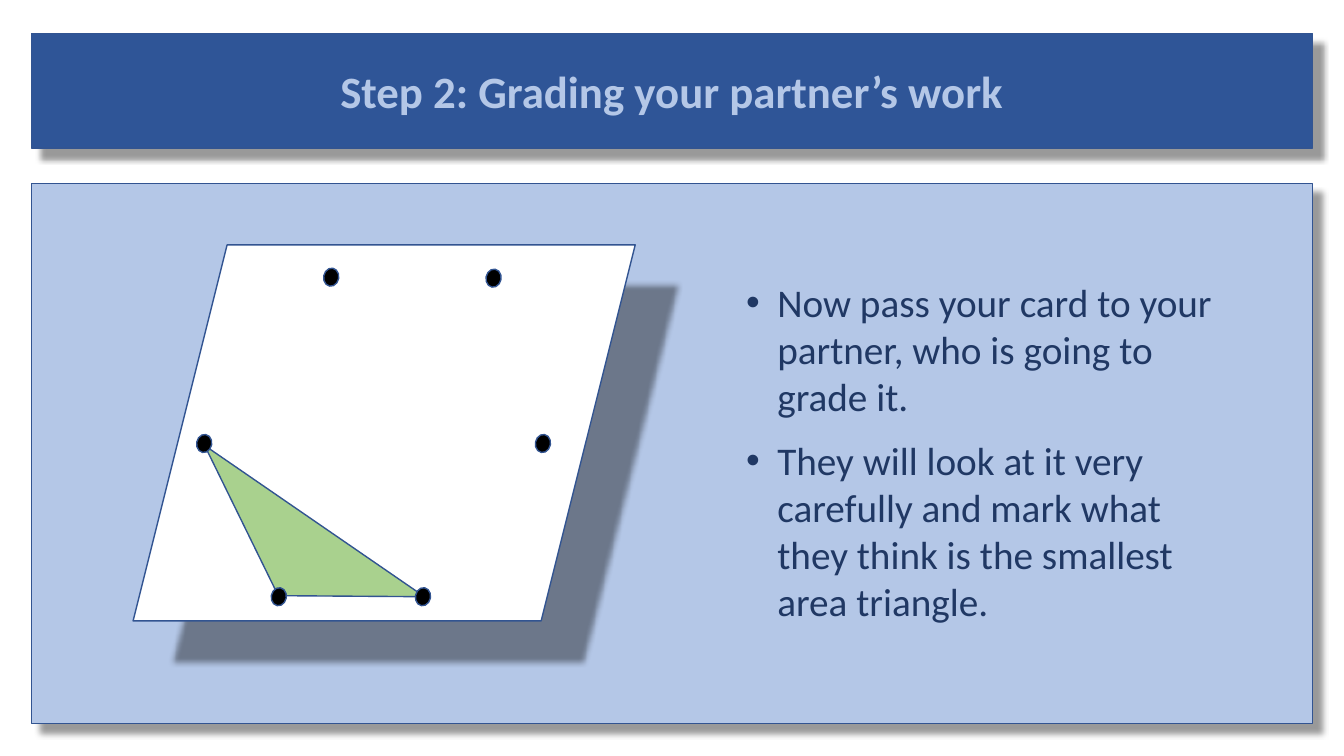
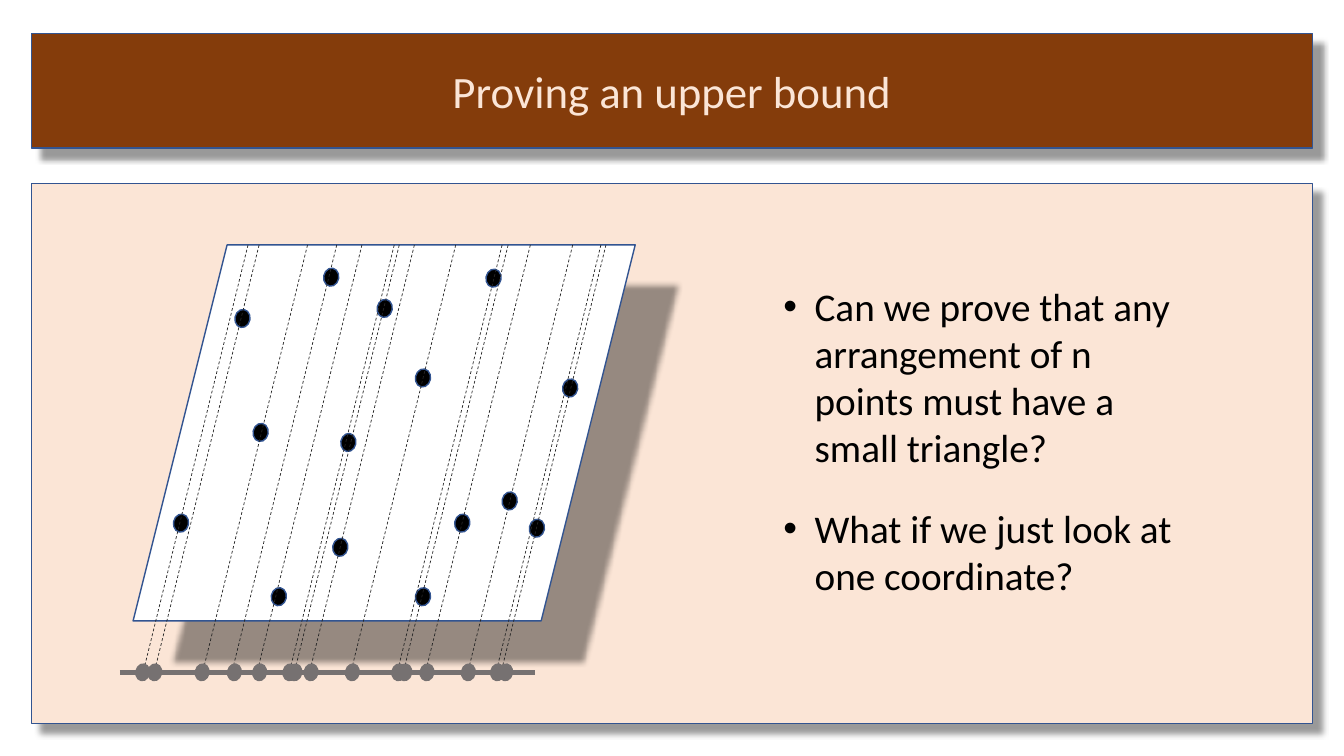
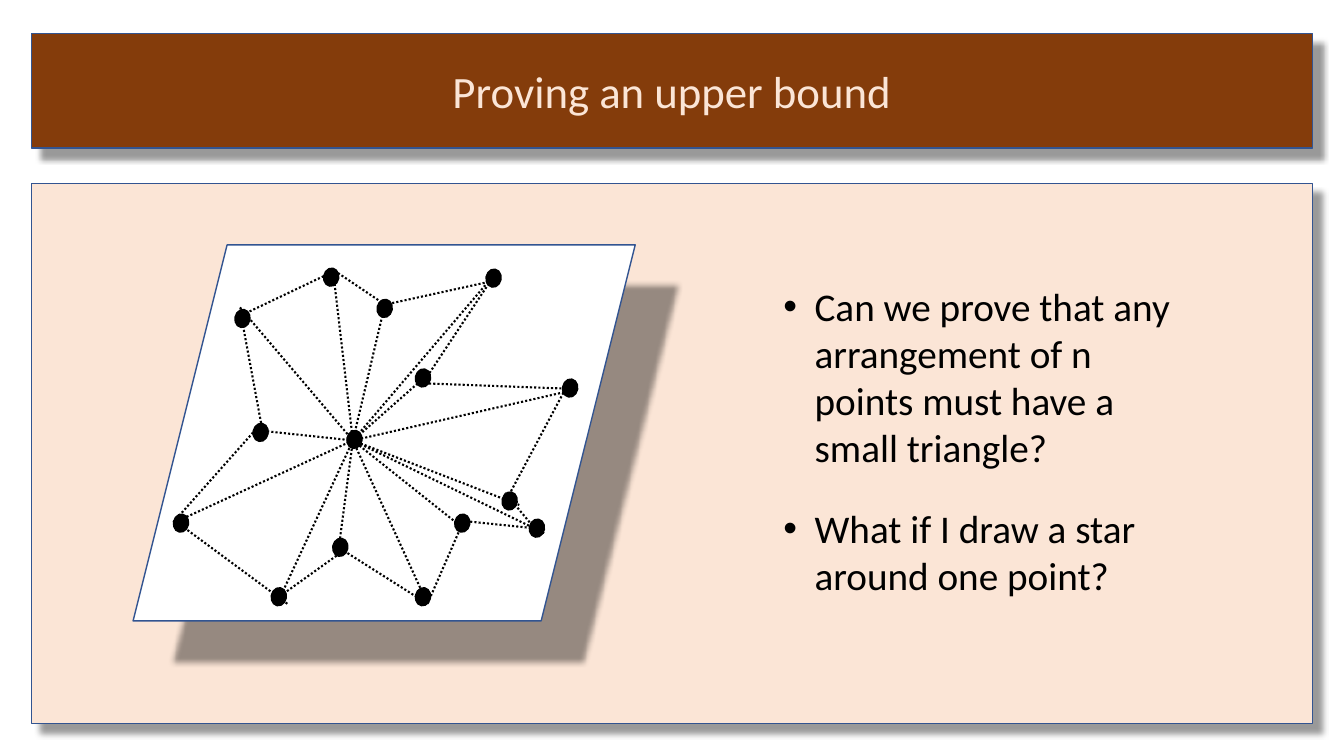
from dataclasses import dataclass
from typing import NamedTuple, Optional

from lxml import etree
from pptx import Presentation
from pptx.dml.color import RGBColor
from pptx.enum.dml import MSO_LINE
from pptx.enum.shapes import MSO_CONNECTOR, MSO_SHAPE
from pptx.enum.text import MSO_ANCHOR, MSO_AUTO_SIZE, PP_ALIGN
from pptx.oxml.ns import qn
from pptx.util import Inches, Pt

FONT = "Calibri"
COLORS = {
    "outline": "325491",
    "black": "000000",
    "white": "FFFFFF",
    "navy": "203864",
    "blue": "2F5597",
    "light_blue": "B4C7E7",
    "brown": "843C0B",
    "peach": "FBE5D6",
    "green": "A9D18E",
    "gray": "767171",
    "guide": "262626",
}


class Point(NamedTuple):
    x: float
    y: float


class Box(NamedTuple):
    left: float
    top: float
    width: float
    height: float


class Segment(NamedTuple):
    x1: float
    y1: float
    x2: float
    y2: float


class Projection(NamedTuple):
    top_x: float
    dot_left: float


@dataclass(frozen=True)
class Theme:
    band: str
    panel: str
    text: str
    bold_title: bool
    body: Box
    gap: int


@dataclass(frozen=True)
class LineStyle:
    color: str
    width: float
    dash: Optional[MSO_LINE] = None


GRADING = Theme("blue", "light_blue", "navy", True, Box(7.3, 2.71, 4.98, 3.57), 12)
PROOF = Theme("brown", "peach", "black", False, Box(7.67, 2.75, 4.1, 3.26), 24)

BAND = Box(0.31, 0.33, 12.71, 1.14)
PANEL = Box(0.31, 1.82, 12.71, 5.36)
CARD = Box(1.32, 2.43, 4.98, 3.73)

AXIS = LineStyle("gray", 3.25)
GUIDE = LineStyle("guide", 0.5, MSO_LINE.DASH)
STAR = LineStyle("black", 1.5, MSO_LINE.ROUND_DOT)

# Dots are given by their top left corner
DOT_W, DOT_H, DOT_TILT = 0.15, 0.18, 10.3
CARD_DOTS = [Point(3.21, 2.66), Point(4.82, 2.67), Point(5.31, 4.31),
             Point(2.69, 5.83), Point(1.95, 4.31), Point(4.12, 5.83)]
TRIANGLE = [Point(4.21, 5.92), Point(2.76, 5.91), Point(2.03, 4.42)]
SPREAD_DOTS = [Point(3.21, 2.66), Point(4.82, 2.67), Point(5.25, 5.15),
               Point(2.69, 5.83), Point(1.72, 5.1), Point(4.12, 5.83),
               Point(2.33, 3.07), Point(5.58, 3.76), Point(4.12, 3.66),
               Point(2.51, 4.2), Point(4.51, 5.1), Point(4.98, 4.88),
               Point(3.74, 2.97), Point(3.3, 5.34)]
INNER_DOT = Point(3.38, 4.3)
HUB_DOT = Point(3.44, 4.27)

# Parallel guides run from the card's top edge down to the axis
AXIS_Y, GUIDE_RUN, AXIS_DOT_TOP = 6.67, 1.04, 6.58
PROJECTIONS = [Projection(*pair) for pair in (
    (2.46, 1.34), (2.57, 1.46), (3.05, 1.93), (3.34, 2.25), (3.59, 2.5),
    (3.91, 2.8), (3.96, 2.85), (4.11, 3.01), (4.52, 3.42), (4.98, 3.88),
    (5.04, 3.94), (5.26, 4.16), (5.68, 4.57), (5.96, 4.86), (6.01, 4.94))]

HUB = Point(3.5, 4.37)
SPOKE_TIPS = [Point(4.26, 3.7), Point(3.83, 2.97), Point(4.83, 2.81),
              Point(3.3, 2.66), Point(5.73, 3.86), Point(3.35, 5.51),
              Point(4.24, 5.99), Point(4.62, 5.26), Point(5.15, 5.01),
              Point(2.38, 3.05), Point(2.56, 4.27), Point(5.4, 5.29),
              Point(2.74, 6.01), Point(1.76, 5.17)]
RIM = [Segment(*ends) for ends in (
    (3.21, 2.74, 2.39, 3.13), (3.89, 3.07, 3.31, 2.68),
    (4.97, 2.77, 3.74, 3.04), (4.26, 3.7, 4.91, 2.72),
    (2.62, 4.36, 2.39, 3.12), (1.72, 5.18, 2.6, 4.19),
    (2.85, 5.99, 1.78, 5.2), (3.44, 5.44, 2.7, 5.97),
    (4.24, 5.99, 3.34, 5.42), (4.24, 5.99, 4.61, 5.14),
    (4.99, 5.02, 5.65, 3.78), (5.36, 5.31, 5.01, 4.89),
    (5.39, 5.25, 4.61, 5.17), (4.13, 3.8, 5.73, 3.86))]


def rgb(name: str) -> RGBColor:
    return RGBColor.from_string(COLORS[name])


def paint(sp, fill: str, line: Optional[str] = "outline") -> None:
    sp.shadow.inherit = False
    sp.fill.solid()
    sp.fill.fore_color.rgb = rgb(fill)
    if line:
        sp.line.color.rgb = rgb(line)
        sp.line.width = Pt(1)
    else:
        sp.line.fill.background()


def drop_shadow(sp, distance: float) -> None:
    effects = sp._element.spPr.find(qn("a:effectLst"))
    shadow = etree.SubElement(effects, qn("a:outerShdw"), blurRad=str(Pt(4)),
                              dist=str(Pt(distance)), dir="2700000",
                              algn="tl", rotWithShape="0")
    color = etree.SubElement(shadow, qn("a:srgbClr"), val=COLORS["black"])
    etree.SubElement(color, qn("a:alpha"), val="40000")


def place(sp, box: Box) -> None:
    sp.left, sp.top, sp.width, sp.height = map(Inches, box)


def style_font(p, size: int, color: str, bold: bool = False) -> None:
    for r in p.runs:
        r.font.name = FONT
        r.font.size = Pt(size)
        r.font.bold = bold
        r.font.color.rgb = rgb(color)


def add_box(slide, kind: MSO_SHAPE, box: Box, fill: str, shadow: float):
    sp = slide.shapes.add_shape(kind, *map(Inches, box))
    paint(sp, fill)
    drop_shadow(sp, shadow)
    return sp


def add_dot(slide, at: Point, fill: str = "black",
            line: Optional[str] = "outline") -> None:
    sp = slide.shapes.add_shape(MSO_SHAPE.OVAL, Inches(at.x), Inches(at.y),
                                Inches(DOT_W), Inches(DOT_H))
    sp.rotation = DOT_TILT
    paint(sp, fill, line)


def add_line(slide, seg: Segment, style: LineStyle) -> None:
    line = slide.shapes.add_connector(MSO_CONNECTOR.STRAIGHT, *map(Inches, seg))
    line.line.color.rgb = rgb(style.color)
    line.line.width = Pt(style.width)
    if style.dash:
        line.line.dash_style = style.dash
    etree.SubElement(line._element.spPr, qn("a:effectLst"))


def add_polygon(slide, points: list[Point], fill: str) -> None:
    start, *rest = [(Inches(x), Inches(y)) for x, y in points]
    builder = slide.shapes.build_freeform(*start)
    builder.add_line_segments(rest, close=True)
    paint(builder.convert_to_shape(), fill)


def add_base(prs, theme: Theme, title: str, bullets: list[str]):
    """Add a slide with title band, panel, bullets and the empty card."""
    slide = prs.slides.add_slide(prs.slide_layouts[1])

    # Title band
    band = slide.shapes.title
    place(band, BAND)
    paint(band, theme.band)
    drop_shadow(band, 10)
    tf = band.text_frame
    tf.text = title
    tf.auto_size = MSO_AUTO_SIZE.NONE
    tf.vertical_anchor = MSO_ANCHOR.MIDDLE
    tf.paragraphs[0].alignment = PP_ALIGN.CENTER
    style_font(tf.paragraphs[0], 32, theme.panel, theme.bold_title)

    # Panel, moved behind the placeholders
    panel = add_box(slide, MSO_SHAPE.RECTANGLE, PANEL, theme.panel, 10)
    slide.shapes._spTree.insert(2, panel._element)

    # Bullets
    body = slide.placeholders[1]
    place(body, theme.body)
    tf = body.text_frame
    tf.text = "\n".join(bullets)
    tf.word_wrap = True
    tf.auto_size = MSO_AUTO_SIZE.SHAPE_TO_FIT_TEXT
    tf.vertical_anchor = MSO_ANCHOR.TOP
    for p in tf.paragraphs:
        pPr = p._p.get_or_add_pPr()
        pPr.set("marL", str(Inches(0.31)))
        pPr.set("indent", str(-Inches(0.31)))
        p.space_before = Pt(0)
        p.space_after = Pt(theme.gap)
        style_font(p, 28, theme.text)

    add_box(slide, MSO_SHAPE.PARALLELOGRAM, CARD, "white", 41)
    return slide


def add_grading_slide(prs) -> None:
    slide = add_base(prs, GRADING, "Step 2: Grading your partner’s work", [
        "Now pass your card to your partner, who is going to grade it.",
        "They will look at it very carefully and mark what they think is "
        "the smallest area triangle."])
    add_polygon(slide, TRIANGLE, "green")
    for dot in CARD_DOTS:
        add_dot(slide, dot)


def add_proof_slide(prs, question: str):
    return add_base(prs, PROOF, "Proving an upper bound", [
        "Can we prove that any arrangement of n points must have a small "
        "triangle?", question])


def add_projection_slide(prs) -> None:
    slide = add_proof_slide(prs, "What if we just look at one coordinate?")
    for dot in [*SPREAD_DOTS, INNER_DOT]:
        add_dot(slide, dot)
    add_line(slide, Segment(1.19, AXIS_Y, 5.31, AXIS_Y), AXIS)
    for x, _ in PROJECTIONS:
        add_line(slide, Segment(x, CARD.top, x - GUIDE_RUN, AXIS_Y), GUIDE)
    for _, left in PROJECTIONS:
        add_dot(slide, Point(left, AXIS_DOT_TOP), "gray", None)


def add_star_slide(prs) -> None:
    slide = add_proof_slide(prs, "What if I draw a star around one point?")
    for dot in [*SPREAD_DOTS, HUB_DOT]:
        add_dot(slide, dot, line="black")
    for seg in [Segment(*HUB, *tip) for tip in SPOKE_TIPS] + RIM:
        add_line(slide, seg, STAR)


def main() -> None:
    prs = Presentation()
    prs.slide_width, prs.slide_height = Inches(13.33), Inches(7.5)
    add_grading_slide(prs)
    add_projection_slide(prs)
    add_star_slide(prs)
    prs.save("out.pptx")


if __name__ == "__main__":
    main()
